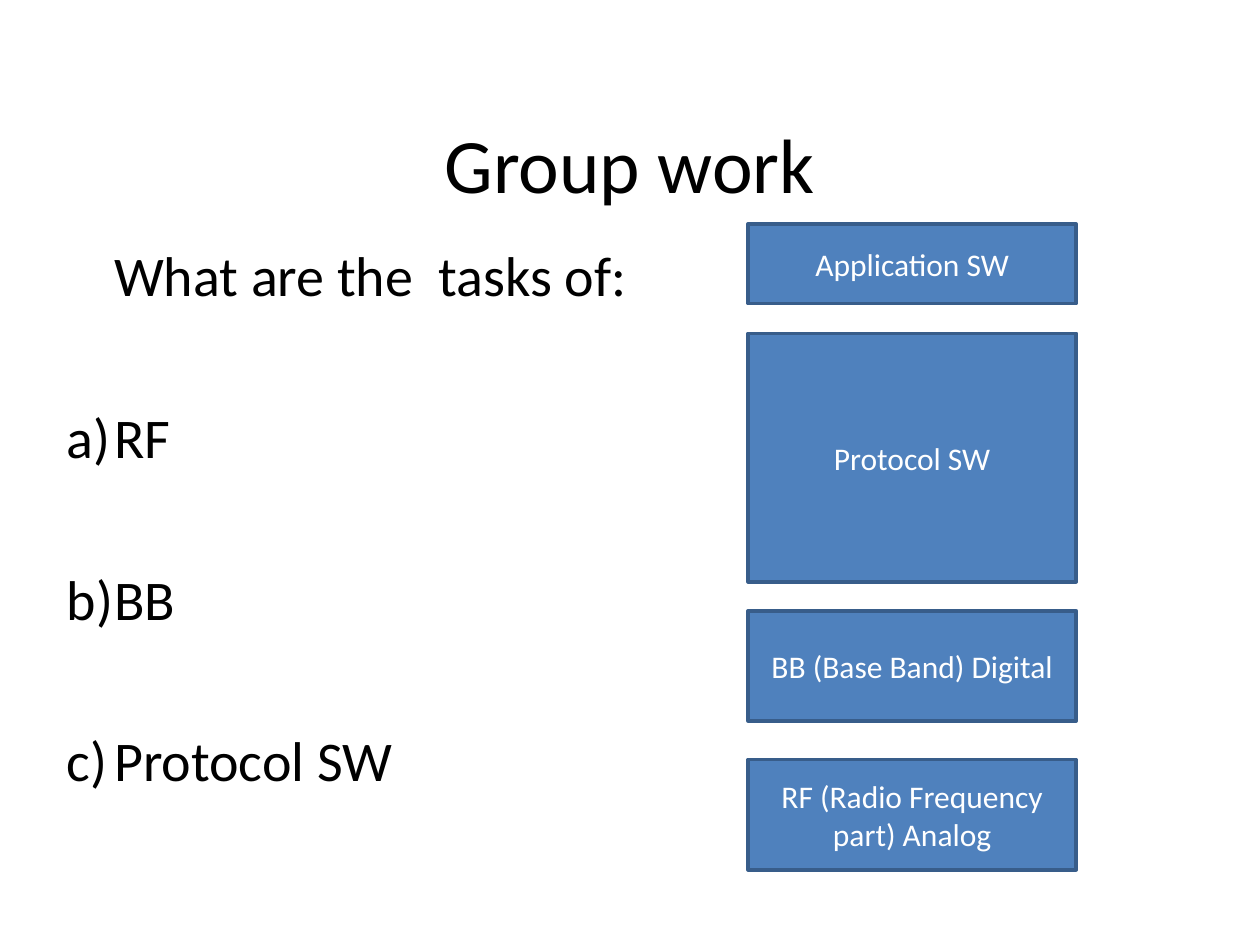
import pptx
import pptx.util
import pptx.dml.color
import pptx.enum.shapes
import pptx.enum.text
import pptx.oxml.ns
from dataclasses import dataclass
from lxml import etree

Pt = pptx.util.Pt
Align = pptx.enum.text.PP_ALIGN
Anchor = pptx.enum.text.MSO_ANCHOR


@dataclass(frozen=True)
class Theme:
    font: str = "Calibri"
    ink: str = "000000"
    pale: str = "FFFFFF"
    fill: str = "4F81BD"
    edge: str = "385D8A"
    head: int = 44
    body: int = 32
    label: int = 18


theme = Theme()


def color(code):
    return pptx.dml.color.RGBColor.from_string(code)


def write(para, text, size=theme.body, ink=theme.ink, align=Align.LEFT, before=0):
    para.alignment = align
    para.space_before = Pt(before)
    run = para.add_run()
    run.text = text
    run.font.name = theme.font
    run.font.size = Pt(size)
    run.font.color.rgb = color(ink)


def place(shape, box):
    shape.left, shape.top, shape.width, shape.height = map(Pt, box)


def mark(para, kind, left, indent, **attrs):
    props = para._p.get_or_add_pPr()
    props.set("marL", str(Pt(left)))
    props.set("indent", str(Pt(indent)))
    if kind == "buAutoNum":
        font = etree.SubElement(props, pptx.oxml.ns.qn("a:buFont"))
        font.set("typeface", theme.font)
    etree.SubElement(props, pptx.oxml.ns.qn("a:" + kind), **attrs)


def add_title(slide, box, text):
    title = slide.shapes.title
    place(title, box)
    frame = title.text_frame
    frame.auto_size = pptx.enum.text.MSO_AUTO_SIZE.NONE
    frame.vertical_anchor = Anchor.MIDDLE
    write(frame.paragraphs[0], text, size=theme.head, align=Align.CENTER)


def add_list(slide, box, lead, items):
    body = slide.placeholders[1]
    place(body, box)
    frame = body.text_frame
    frame.auto_size = pptx.enum.text.MSO_AUTO_SIZE.NONE
    para = frame.paragraphs[0]
    write(para, lead, before=8)
    mark(para, "buNone", 27, 0)
    for item in items:
        para = frame.add_paragraph()
        write(para, item, before=54)
        mark(para, "buAutoNum", 27, -27, type="alphaLcParenR")


def add_stack(slide, box, layers):
    left, top, width = box
    for text, drop, height in layers:
        block = slide.shapes.add_shape(
            pptx.enum.shapes.MSO_SHAPE.RECTANGLE,
            Pt(left), Pt(top + drop), Pt(width), Pt(height))
        block.shadow.inherit = False
        block.fill.solid()
        block.fill.fore_color.rgb = color(theme.fill)
        block.line.color.rgb = color(theme.edge)
        block.line.width = Pt(2)
        frame = block.text_frame
        frame.word_wrap = True
        frame.vertical_anchor = Anchor.MIDDLE
        write(frame.paragraphs[0], text, size=theme.label,
              ink=theme.pale, align=Align.CENTER)


def main():
    deck = pptx.Presentation()
    deck.slide_width, deck.slide_height = Pt(720), Pt(540)
    slide = deck.slides.add_slide(deck.slide_layouts[1])
    add_title(slide, (54, 48, 612, 90), "Group work")
    add_list(slide, (31, 134, 368.5, 380), "What are the  tasks of:",
             ["RF", "BB", "Protocol SW"])
    add_stack(slide, (427.5, 128, 187.5), [
        ("RF (Radio Frequency part) Analog", 306, 63),
        ("BB (Base Band) Digital", 221, 63),
        ("Protocol SW", 62.5, 142),
        ("Application SW", 0, 45.5),
    ])
    deck.save("out.pptx")


if __name__ == "__main__":
    main()
